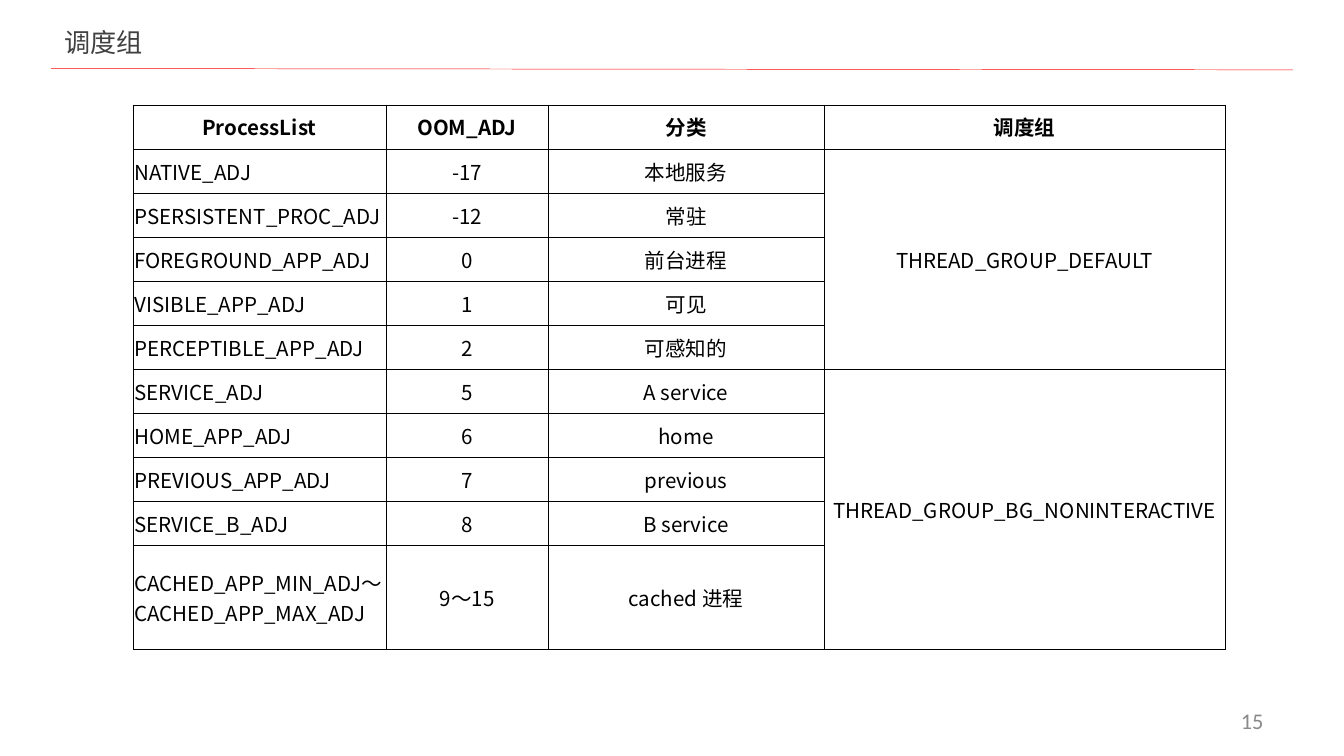
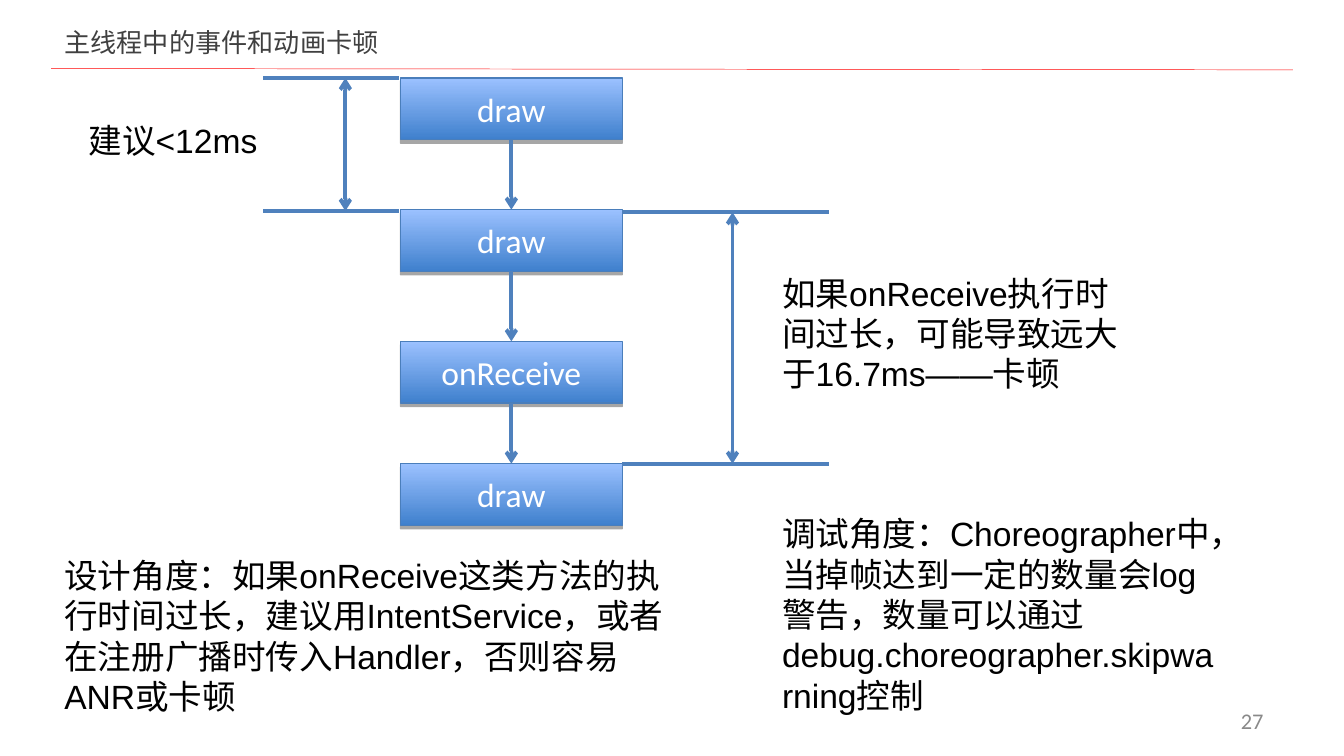
"""Builds two slides on Android scheduling groups and main-thread jank."""
from itertools import pairwise
from typing import NamedTuple

from lxml.etree import SubElement
from pptx import Presentation
from pptx.dml.color import RGBColor
from pptx.enum.shapes import MSO_CONNECTOR, MSO_SHAPE
from pptx.enum.text import MSO_ANCHOR, MSO_AUTO_SIZE, PP_ALIGN
from pptx.oxml.ns import qn
from pptx.util import Inches, Pt

CJK, LATIN, BODY = "Noto Sans CJK SC", "Calibri", "Arial"
BLACK, WHITE, TITLE_GREY, PAGE_GREY = "000000", "FFFFFF", "404040", "898989"
RED, ARROW_BLUE, BOX_LINE = "FF0000", "4F81BD", "4A7EBB"
BOX_GRADIENT = ("3F80CD", "9BC1FF")

COL_WIDTHS = (1.88, 1.21, 2.05, 2.99)
UPPER_ROWS_HEIGHT, LAST_ROW_HEIGHT = 3.28, 0.77
HEADER = ("ProcessList", "OOM_ADJ", "分类", "调度组")
PROCESSES = (
    ("NATIVE_ADJ", "-17", "本地服务"),
    ("PSERSISTENT_PROC_ADJ", "-12", "常驻"),
    ("FOREGROUND_APP_ADJ", "0", "前台进程"),
    ("VISIBLE_APP_ADJ", "1", "可见"),
    ("PERCEPTIBLE_APP_ADJ", "2", "可感知的"),
    ("SERVICE_ADJ", "5", "A service"),
    ("HOME_APP_ADJ", "6", "home"),
    ("PREVIOUS_APP_ADJ", "7", "previous"),
    ("SERVICE_B_ADJ", "8", "B service"),
    ("CACHED_APP_MIN_ADJ～CACHED_APP_MAX_ADJ", "9～15", "cached 进程"),
)
GROUPS = ("THREAD_GROUP_DEFAULT", "THREAD_GROUP_BG_NONINTERACTIVE")
GROUP_ROWS = 5

BOX_LEFT, BOX_WIDTH, BOX_HEIGHT = 2.98, 1.65, 0.46


class Step(NamedTuple):
    label: str
    top: float


class Span(NamedTuple):
    left: float
    right: float
    top: float
    bottom: float
    arrow_x: float


class Note(NamedTuple):
    text: str
    left: float
    top: float
    width: float
    height: float
    wrap: bool = True


STEPS = (Step("draw", 0.58), Step("draw", 1.56), Step("onReceive", 2.54), Step("draw", 3.45))
SPANS = (Span(1.96, 2.97, 0.58, 1.57, 2.57), Span(4.63, 6.17, 1.58, 3.45, 5.45))
NOTES = (
    Note("建议<12ms", 0.56, 0.84, 1.53, 0.4, wrap=False),
    Note("如果onReceive执行时间过长，可能导致远大于16.7ms——卡顿", 5.72, 1.98, 2.82, 1),
    Note("设计角度：如果onReceive这类方法的执行时间过长，建议用IntentService，"
         "或者在注册广播时传入Handler，否则容易ANR或卡顿", 0.38, 4.08, 4.78, 1.3),
    Note("调试角度：Choreographer中，当掉帧达到一定的数量会log警告，"
         "数量可以通过debug.choreographer.skipwarning控制", 5.72, 3.77, 3.41, 1.6),
)


def rgb(color: str) -> RGBColor:
    return RGBColor.from_string(color)


def write(tf, text: str, size: float, font: str, color: str,
          align=PP_ALIGN.LEFT, bold: bool = False) -> None:
    tf.text = text
    p = tf.paragraphs[0]
    p.alignment = align
    p.font.size, p.font.bold = Pt(size), bold
    p.font.color.rgb = rgb(color)
    p.font.name = font
    SubElement(p._p.pPr.find(qn("a:defRPr")), qn("a:ea"), typeface=CJK)


def add_line(slide, x1: float, y1: float, x2: float, y2: float,
             color: str = ARROW_BLUE, width: float = 2, ends: tuple = ()) -> None:
    c = slide.shapes.add_connector(
        MSO_CONNECTOR.STRAIGHT, Inches(x1), Inches(y1), Inches(x2), Inches(y2))
    c.line.color.rgb = rgb(color)
    c.line.width = Pt(width)
    sp_pr = c._element.spPr
    for end in ends:
        SubElement(sp_pr.find(qn("a:ln")), qn(f"a:{end}"), type="arrow")
    SubElement(sp_pr, qn("a:effectLst"))


def add_text(slide, left: float, top: float, width: float, height: float):
    sp = slide.shapes.add_textbox(Inches(left), Inches(top), Inches(width), Inches(height))
    sp.text_frame.word_wrap = True
    return sp.text_frame


def add_slide(prs, title: str, page: int):
    slide = prs.slides.add_slide(prs.slide_layouts[5])
    add_line(slide, 0.38, 0.51, 9.62, 0.52, RED, 0.25)
    sp = slide.shapes.title
    sp.left, sp.top, sp.width, sp.height = Inches(0.38), Inches(0.16), Inches(4.38), Inches(0.3)
    tf = sp.text_frame
    tf.vertical_anchor, tf.auto_size = MSO_ANCHOR.MIDDLE, MSO_AUTO_SIZE.NONE
    write(tf, title, 14, CJK, TITLE_GREY)
    tf = add_text(slide, 7.17, 5.21, 2.33, 0.3)
    tf.vertical_anchor = MSO_ANCHOR.MIDDLE
    write(tf, str(page), 12, LATIN, PAGE_GREY, PP_ALIGN.RIGHT)
    return slide


def format_cell(cell, text: str, align, bold: bool) -> None:
    cell.margin_left = cell.margin_right = Inches(0.01)
    cell.margin_top = cell.margin_bottom = Inches(0.05)
    cell.vertical_anchor = MSO_ANCHOR.MIDDLE
    tc_pr = cell._tc.get_or_add_tcPr()
    for side in ("lnL", "lnR", "lnT", "lnB"):
        ln = SubElement(tc_pr, qn(f"a:{side}"), w=str(Pt(0.23)))
        SubElement(SubElement(ln, qn("a:solidFill")), qn("a:srgbClr"), val=BLACK)
    cell.fill.background()
    write(cell.text_frame, text, 11, CJK, BLACK, align, bold)


def add_process_table(slide) -> None:
    rows = [HEADER]
    for i, process in enumerate(PROCESSES):
        group = "" if i % GROUP_ROWS else GROUPS[i // GROUP_ROWS]
        rows.append((*process, group))
    table = slide.shapes.add_table(
        len(rows), len(HEADER), Inches(0.99), Inches(0.78), Inches(sum(COL_WIDTHS)),
        Inches(UPPER_ROWS_HEIGHT + LAST_ROW_HEIGHT)).table
    table.first_row = table.horz_banding = False
    for col, width in zip(table.columns, COL_WIDTHS):
        col.width = Inches(width)
    for row in table.rows:
        row.height = Inches(UPPER_ROWS_HEIGHT / len(PROCESSES))
    table.rows[len(rows) - 1].height = Inches(LAST_ROW_HEIGHT)
    for r, row in enumerate(rows):
        for c, text in enumerate(row):
            align = PP_ALIGN.LEFT if r and c == 0 else PP_ALIGN.CENTER
            format_cell(table.cell(r, c), text, align, bold=r == 0)
    for top in range(1, len(rows), GROUP_ROWS):
        table.cell(top, 3).merge(table.cell(top + GROUP_ROWS - 1, 3))


def add_step(slide, step: Step) -> None:
    sp = slide.shapes.add_shape(MSO_SHAPE.FLOWCHART_PROCESS, Inches(BOX_LEFT), Inches(step.top),
                                Inches(BOX_WIDTH), Inches(BOX_HEIGHT))
    sp.fill.gradient()
    sp.fill.gradient_angle = 90
    for stop, color in zip(sp.fill.gradient_stops, BOX_GRADIENT):
        stop.color.rgb = rgb(color)
    sp.line.color.rgb = rgb(BOX_LINE)
    sp.line.width = Pt(0.75)
    sp.shadow.inherit = False
    shadow = SubElement(sp._element.spPr.find(qn("a:effectLst")), qn("a:outerShdw"),
                        blurRad="0", dist=str(Pt(1.8)), dir="5400000", rotWithShape="0")
    SubElement(SubElement(shadow, qn("a:srgbClr"), val=BLACK), qn("a:alpha"), val="35000")
    sp.text_frame.vertical_anchor = MSO_ANCHOR.MIDDLE
    write(sp.text_frame, step.label, 18, LATIN, WHITE, PP_ALIGN.CENTER)


def add_span(slide, span: Span) -> None:
    add_line(slide, span.arrow_x, span.top, span.arrow_x, span.bottom, ends=("headEnd", "tailEnd"))
    for y in (span.top, span.bottom):
        add_line(slide, span.left, y, span.right, y)


def add_note(slide, note: Note) -> None:
    tf = add_text(slide, note.left, note.top, note.width, note.height)
    tf.word_wrap = note.wrap
    tf.auto_size = MSO_AUTO_SIZE.SHAPE_TO_FIT_TEXT
    write(tf, note.text, 18, BODY, BLACK)


def add_jank_flow(slide) -> None:
    for step in STEPS:
        add_step(slide, step)
    x = BOX_LEFT + BOX_WIDTH / 2
    for above, below in pairwise(STEPS):
        add_line(slide, x, above.top + BOX_HEIGHT, x, below.top, ends=("tailEnd",))
    for span in SPANS:
        add_span(slide, span)
    for note in NOTES:
        add_note(slide, note)


def main() -> None:
    prs = Presentation()
    prs.slide_width = Inches(10)
    prs.slide_height = prs.slide_width * 9 // 16
    add_process_table(add_slide(prs, "调度组", 15))
    add_jank_flow(add_slide(prs, "主线程中的事件和动画卡顿", 27))
    prs.save("out.pptx")


if __name__ == "__main__":
    main()
